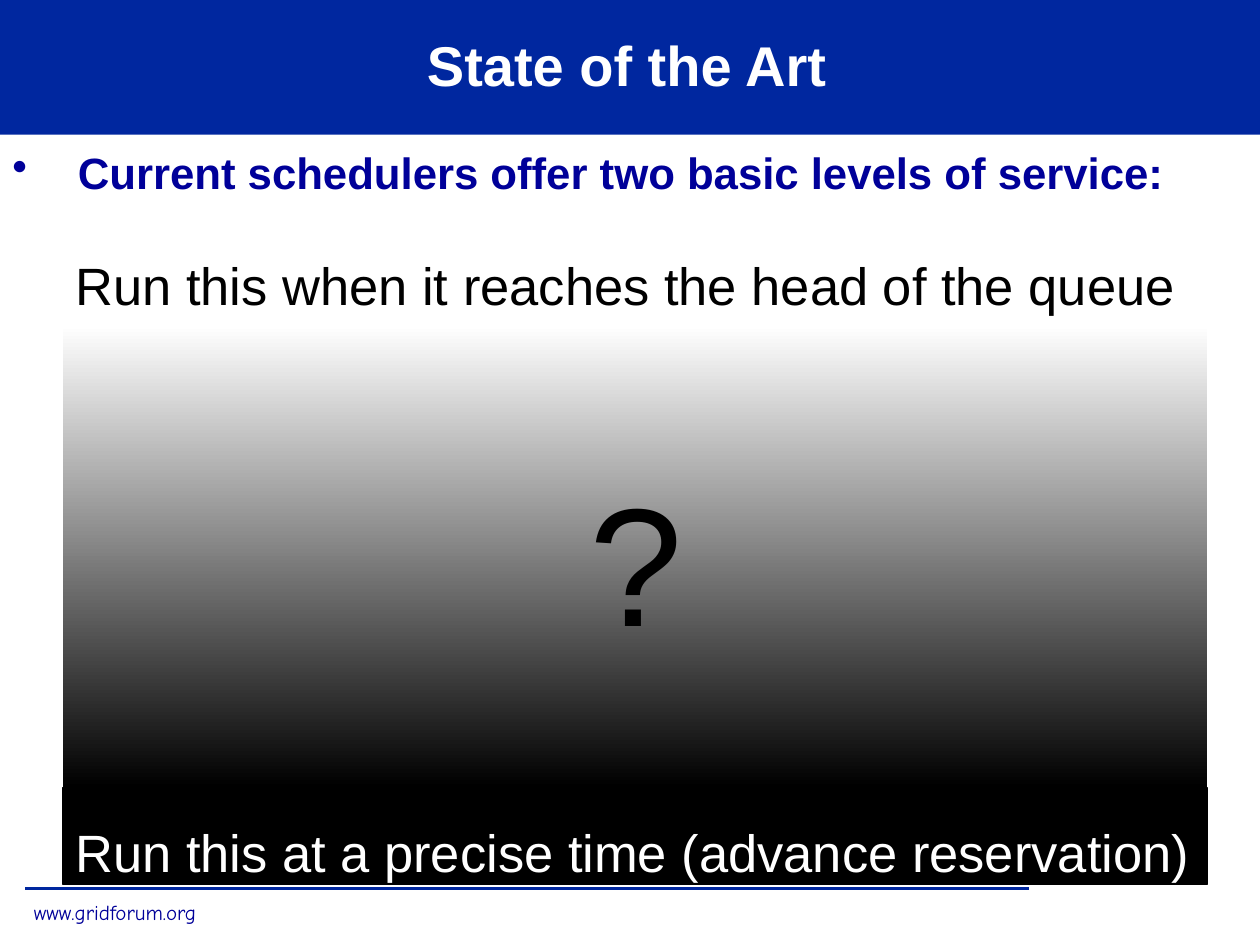
"""Build the "State of the Art" slide about scheduler service levels."""
from dataclasses import dataclass
from typing import Optional

from lxml import etree
from pptx import Presentation
from pptx.dml.color import RGBColor
from pptx.enum.shapes import MSO_CONNECTOR, MSO_SHAPE
from pptx.enum.text import MSO_ANCHOR, MSO_AUTO_SIZE, PP_ALIGN
from pptx.oxml.ns import qn
from pptx.util import Inches, Pt

RECTANGLE = MSO_SHAPE.RECTANGLE
STRAIGHT = MSO_CONNECTOR.STRAIGHT
TOP, MIDDLE = MSO_ANCHOR.TOP, MSO_ANCHOR.MIDDLE
LEFT, CENTER = PP_ALIGN.LEFT, PP_ALIGN.CENTER
FIXED = MSO_AUTO_SIZE.NONE

BLUE = RGBColor(0x00, 0x27, 0x9F)
NAVY = RGBColor(0x00, 0x00, 0x99)
WHITE = RGBColor(0xFF, 0xFF, 0xFF)
BLACK = RGBColor(0x00, 0x00, 0x00)

COLUMNS, ROWS = 100, 75
CELL = Inches(0.1)
PANEL_LEFT, PANEL_WIDTH = 5, 90.8
GRADIENT_TOP, SEAM_TOP, RESERVATION_TOP = 25.8, 62.5, 64.2
LEADING_SHARE = 0.09


@dataclass(frozen=True)
class Area:
    """A rectangle in grid columns and rows."""

    column: float
    row: float
    columns: float
    rows: float

    def lengths(self) -> tuple[int, ...]:
        """Return left, top, width and height as slide lengths."""
        return tuple(round(cells * CELL) for cells in
                     (self.column, self.row, self.columns, self.rows))


@dataclass(frozen=True)
class Label:
    """One line of text and its look."""

    text: str
    size: float
    color: RGBColor
    font: str = "Arial"
    bold: bool = False
    wrap: bool = True
    align: PP_ALIGN = LEFT
    anchor: MSO_ANCHOR = TOP
    leading: float = LEADING_SHARE


def write(box, label: Label) -> None:
    """Put a label into a shape and format it."""
    frame = box.text_frame
    frame.text = label.text
    frame.auto_size = FIXED
    frame.word_wrap = label.wrap
    frame.vertical_anchor = label.anchor
    frame.margin_left = frame.margin_right = CELL
    frame.margin_top = Inches(0.05) + Pt(label.size * label.leading)
    frame.margin_bottom = Inches(0.05)
    para = frame.paragraphs[0]
    para.alignment = label.align
    para.font.name = label.font
    para.font.size = Pt(label.size)
    para.font.bold = label.bold
    para.font.color.rgb = label.color


def add_label(page, area: Area, label: Label):
    """Add a text box holding one label."""
    box = page.shapes.add_textbox(*area.lengths())
    write(box, label)
    return box


def add_block(page, area: Area, color: Optional[RGBColor] = None, outlined: bool = False):
    """Add a rectangle, solid when a colour is given."""
    block = page.shapes.add_shape(RECTANGLE, *area.lengths())
    block.shadow.inherit = False
    if color is not None:
        block.fill.solid()
        block.fill.fore_color.rgb = color
    if outlined:
        block.line.color.rgb = color
        block.line.width = Pt(1)
    else:
        block.line.fill.background()
    return block


def add_fade(page, area: Area) -> None:
    """Add a rectangle fading from white at the top to black."""
    block = add_block(page, area)
    block.fill.gradient()
    block.fill.gradient_angle = 270
    for stop, color, position in zip(block.fill.gradient_stops, (WHITE, BLACK), (0, 1)):
        stop.color.rgb = color
        stop.position = position


def add_rule(page, start: float, end: float, row: float) -> None:
    """Add the horizontal footer line."""
    left, top, width, _ = Area(start, row, end - start, 0).lengths()
    rule = page.shapes.add_connector(STRAIGHT, left, top, left + width, top)
    rule.line.color.rgb = BLUE
    rule.line.width = Pt(2)
    etree.SubElement(rule.element.spPr, qn("a:effectLst"))


def add_bullet(box, indent: int, color: RGBColor) -> None:
    """Give the first paragraph a coloured bullet and hanging indent."""
    properties = box.text_frame.paragraphs[0]._p.get_or_add_pPr()
    properties.set("marL", str(indent))
    properties.set("indent", str(-indent))
    bullet_color = etree.Element(qn("a:buClr"))
    etree.SubElement(bullet_color, qn("a:srgbClr"), val=str(color))
    bullet = etree.Element(qn("a:buChar"), char="•")
    properties.insert(0, bullet_color)
    properties.insert(1, bullet)


def set_title(page, area: Area, banner: Area, label: Label) -> None:
    """Format the title and lay the banner behind it."""
    title = page.shapes.title
    title.left, title.top, title.width, title.height = area.lengths()
    title.fill.solid()
    title.fill.fore_color.rgb = BLUE
    write(title, label)
    title.element.addprevious(add_block(page, banner, BLUE).element)


def main() -> None:
    """Build and save the deck."""
    deck = Presentation()
    deck.slide_width, deck.slide_height = COLUMNS * CELL, ROWS * CELL
    page = deck.slides.add_slide(deck.slide_layouts[5])

    set_title(page, Area(0, 0, 99.5, 10.2), Area(0, 0, COLUMNS, 10.7),
              Label("State of the Art", 32, WHITE, bold=True,
                    align=CENTER, anchor=MIDDLE, leading=0))
    add_rule(page, 2, 81.7, 70.5)
    add_label(page, Area(1.7, 70.9, 14.9, 3),
              Label("www.gridforum.org", 12, NAVY, font="Comic Neue", wrap=False, leading=0))

    levels = add_label(page, Area(0, 10.8, 99.6, 60),
                       Label("Current schedulers offer two basic levels of service:",
                             25, NAVY, bold=True))
    add_bullet(levels, Inches(0.52), NAVY)

    reservation = add_block(page, Area(PANEL_LEFT, RESERVATION_TOP, PANEL_WIDTH, 6),
                            BLACK, outlined=True)
    write(reservation, Label("Run this at a precise time (advance reservation)", 30, WHITE))
    add_label(page, Area(PANEL_LEFT, 19.2, 90, 6),
              Label("Run this when it reaches the head of the queue", 30, BLACK))
    add_fade(page, Area(PANEL_LEFT, GRADIENT_TOP, PANEL_WIDTH, SEAM_TOP - GRADIENT_TOP))
    add_block(page, Area(PANEL_LEFT, SEAM_TOP, PANEL_WIDTH, RESERVATION_TOP - SEAM_TOP),
              BLACK, outlined=True)
    add_label(page, Area(45.8, 34.7, 10, 17), Label("?", 96, BLACK))

    deck.save("out.pptx")


if __name__ == "__main__":
    main()
